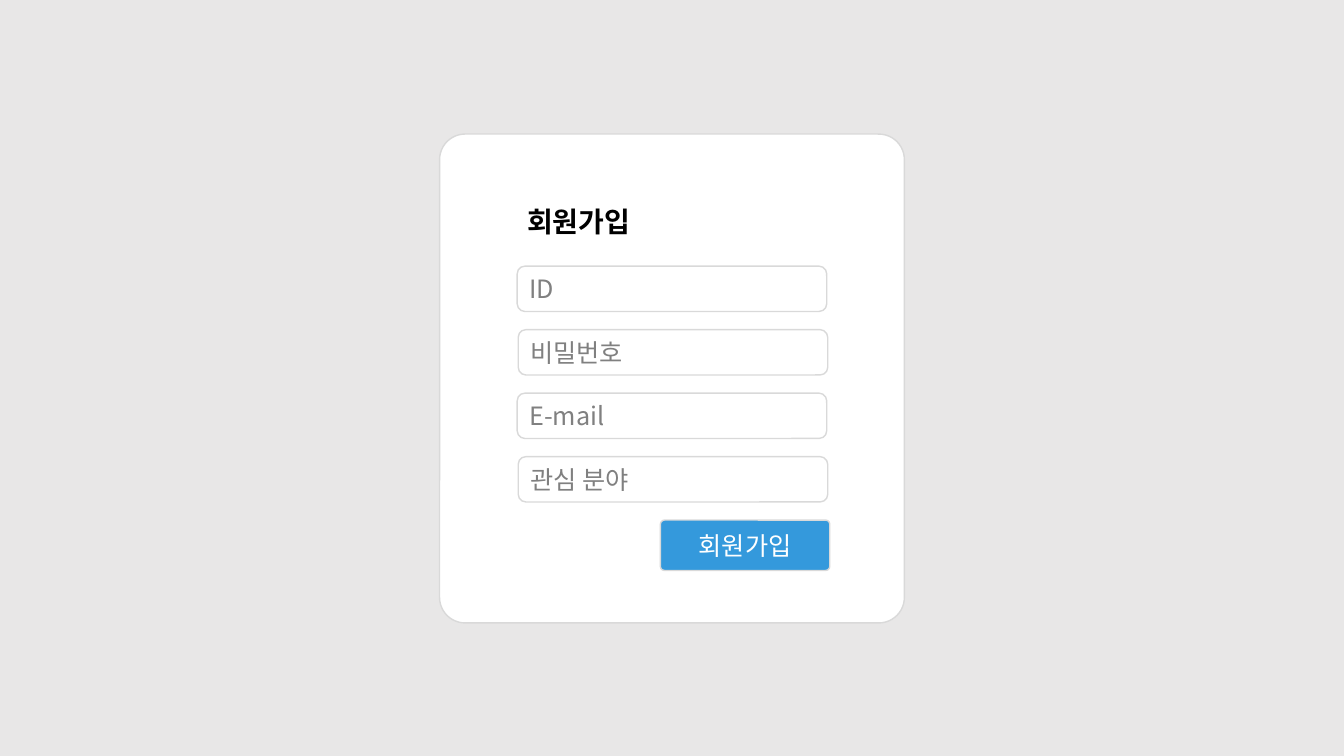
from dataclasses import dataclass

import pptx
import pptx.util
import pptx.dml.color
import pptx.enum.shapes
import pptx.enum.text
import pptx.oxml.ns
from lxml import etree
from pptx.util import Inches


@dataclass(frozen=True)
class Theme:
    font: str = "Noto Sans CJK KR"
    back: str = "E8E7E7"
    white: str = "FFFFFF"
    black: str = "000000"
    hint: str = "808080"
    edge: str = "D9D9D9"
    blue: str = "3499DC"
    title: int = 20
    label: int = 18


THEME = Theme()
ALIGN = pptx.enum.text.PP_ALIGN
FIELDS = ("ID", "비밀번호", "E-mail", "관심 분야")


def paint(fill, color):
    fill.solid()
    fill.fore_color.rgb = pptx.dml.color.RGBColor.from_string(color)


def write(frame, text, size, color, bold=False, align=ALIGN.LEFT):
    """Put one styled line in a frame, in the same font for Latin and Hangul."""
    frame.word_wrap = True
    frame.text = text
    line = frame.paragraphs[0]
    line.alignment = align
    font = line.runs[0].font
    font.name = THEME.font
    font.size = pptx.util.Pt(size)
    font.bold = bold
    paint(font.fill, color)
    props = line.runs[0]._r.get_or_add_rPr()
    etree.SubElement(props, pptx.oxml.ns.qn("a:ea"), typeface=THEME.font)


def add_box(slide, left, top, width, height, fill, round=0.17):
    box = slide.shapes.add_shape(
        pptx.enum.shapes.MSO_SHAPE.ROUNDED_RECTANGLE,
        Inches(left), Inches(top), Inches(width), Inches(height))
    box.adjustments[0] = round
    box.shadow.inherit = False
    paint(box.fill, fill)
    paint(box.line.fill, THEME.edge)
    box.line.width = pptx.util.Pt(1)
    box.text_frame.vertical_anchor = pptx.enum.text.MSO_ANCHOR.MIDDLE
    return box


def add_title(slide, text):
    box = slide.shapes.add_textbox(
        Inches(5.13), Inches(1.98), Inches(3.29), Inches(0.44))
    write(box.text_frame, text, THEME.title, THEME.black, bold=True)
    box.text_frame.auto_size = pptx.enum.text.MSO_AUTO_SIZE.SHAPE_TO_FIT_TEXT


def add_field(slide, row, hint):
    """Add an input field; every second one sits slightly to the right."""
    left = 5.13 + 0.01 * (row % 2)
    box = add_box(slide, left, 2.64 + 0.63 * row, 3.07, 0.45, THEME.white)
    write(box.text_frame, hint, THEME.label, THEME.hint)


def add_button(slide, text):
    box = add_box(slide, 6.55, 5.16, 1.68, 0.5, THEME.blue, 0.08)
    write(box.text_frame, text, THEME.label, THEME.white, align=ALIGN.CENTER)


def main():
    deck = pptx.Presentation()
    deck.slide_width = Inches(13.33)
    deck.slide_height = Inches(7.5)
    slide = deck.slides.add_slide(deck.slide_layouts[6])
    paint(slide.background.fill, THEME.back)
    add_box(slide, 4.36, 1.33, 4.61, 4.85, THEME.white, 0.055)
    add_title(slide, "회원가입")
    for row, hint in enumerate(FIELDS):
        add_field(slide, row, hint)
    add_button(slide, "회원가입")
    deck.save("out.pptx")


if __name__ == "__main__":
    main()
